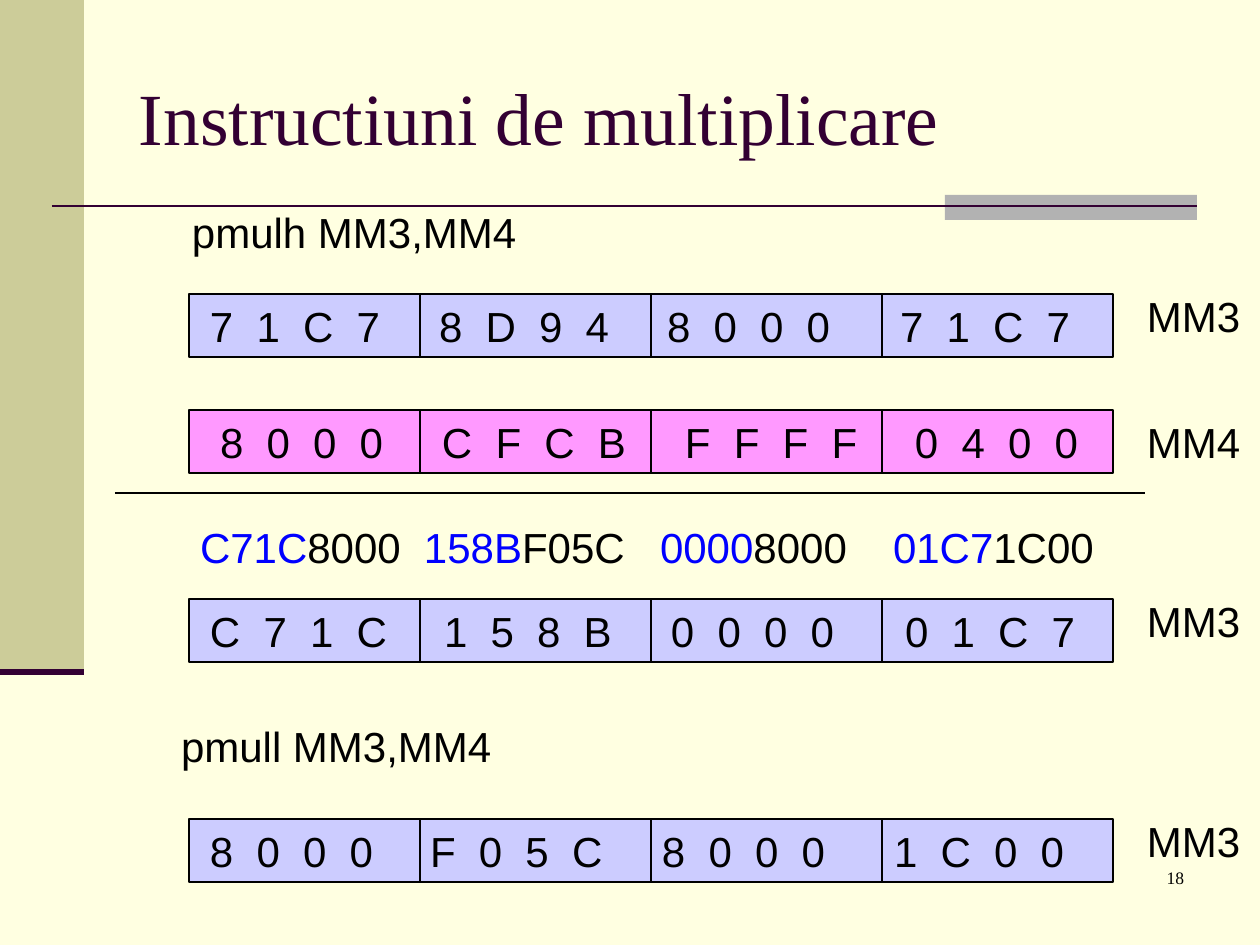
from lxml import etree
from pptx import Presentation, util as u
from pptx.dml.color import RGBColor
from pptx.enum import shapes, text
from pptx.oxml import ns

SCALE = 914400 / 126
BLACK, BLUE, PLUM = "000000", "0000FF", "330033"
LILAC, PINK = "CCCCFF", "FF99FF"
LEFT, CELL_W, ROW_H = 189, 231, 63
LABEL_X = 1134
DIGIT_SPACING = 3.33  # points, widens the gaps between hex digits

# top, label top, label, fill, (digits, left inset) of each cell
REGISTERS = [
    (294, 284, "MM3", LILAC,
     [("7 1 C 7", 21), ("8 D 9 4", 19), ("8 0 0 0", 16), ("7 1 C 7", 18)]),
    (410, 410, "MM4", PINK,
     [("8 0 0 0", 31), ("C F C B", 22), ("F F F F", 34), ("0 4 0 0", 33)]),
    (599, 589, "MM3", LILAC,
     [("C 7 1 C", 21), ("1 5 8 B", 24), ("0 0 0 0", 20), ("0 1 C 7", 23)]),
    (819, 809, "MM3", LILAC,
     [("8 0 0 0", 21), ("F 0 5 C", 10), ("8 0 0 0", 11), ("1 C 0 0", 12)]),
]
# left, high word, low word
PRODUCTS = [(187, "C71C", "8000"), (411, "158B", "F05C"),
            (647, "0000", "8000"), (880, "01C7", "1C00")]


def px(length):
    return u.Emu(round(length * SCALE))


def color(value):
    return RGBColor.from_string(value)


def write(frame, spans, size=24, font="Arial", align=text.PP_ALIGN.LEFT,
          anchor=text.MSO_ANCHOR.TOP, inset=13, spacing=0):
    """Fill a text frame with one paragraph of (wording, colour) spans."""
    frame.word_wrap = True
    frame.vertical_anchor = anchor
    frame.margin_left = px(inset)
    frame.margin_right = px(13) if not spacing else 0
    para = frame.paragraphs[0]
    para.alignment = align
    for wording, ink in spans:
        span = para.add_run()
        span.text = wording
        span.font.size = u.Pt(size)
        span.font.name = font
        span.font.color.rgb = color(ink)
        if spacing:
            span._r.get_or_add_rPr().set("spc", str(round(spacing * 100)))


def add_text(page, box, spans, **style):
    write(page.shapes.add_textbox(*map(px, box)).text_frame, spans, **style)


def add_rect(page, box, fill, line=None):
    rect = page.shapes.add_shape(shapes.MSO_SHAPE.RECTANGLE, *map(px, box))
    rect.shadow.inherit = False
    rect.fill.solid()
    rect.fill.fore_color.rgb = color(fill)
    if line:
        rect.line.color.rgb = color(line)
        rect.line.width = u.Pt(0.75)
    else:
        rect.line.fill.background()
    return rect


def add_rule(page, left, right, y, ink, width):
    """Draw a horizontal line."""
    rule = page.shapes.add_connector(
        shapes.MSO_CONNECTOR.STRAIGHT, *map(px, (left, y, right, y)))
    rule.line.color.rgb = color(ink)
    rule.line.width = u.Pt(width)
    etree.SubElement(rule._element.spPr, ns.qn("a:effectLst"))


def add_frame(page, width):
    """Draw the side band and the rule under the title."""
    add_rect(page, (0, 0, 84, 672), "CCCC99")
    add_rect(page, (width - 315, 195, 252, 25), "B2B2B2")
    add_rule(page, 52, width - 63, 206, PLUM, 1.5)
    add_rule(page, 0, 84, 672, PLUM, 3.5)


def add_register(page, left, top, fill, cells):
    """Draw a register as a row of equal cells."""
    for column, (digits, inset) in enumerate(cells):
        cell = add_rect(page, (left + column * CELL_W, top, CELL_W, ROW_H),
                        fill, BLACK)
        write(cell.text_frame, [(digits, BLACK)], inset=inset,
              anchor=text.MSO_ANCHOR.MIDDLE, spacing=DIGIT_SPACING)


def add_products(page, top):
    """Write the full products, with the high words in blue."""
    for left, high, low in PRODUCTS:
        add_text(page, (left, top, CELL_W, ROW_H), [(high, BLUE), (low, BLACK)])


def main():
    deck = Presentation()
    deck.slide_width, deck.slide_height = px(1260), px(945)
    page = deck.slides.add_slide(deck.slide_layouts[6])
    page.background.fill.solid()
    page.background.fill.fore_color.rgb = color("FFFFE1")

    add_frame(page, 1260)
    add_text(page, (126, 38, 1071, 157), [("Instructiuni de multiplicare", PLUM)],
             size=42, font="Times New Roman", anchor=text.MSO_ANCHOR.MIDDLE)
    add_text(page, (179, 200, 598, ROW_H), [("pmulh MM3,MM4", BLACK)])
    add_text(page, (168, 714, 598, ROW_H), [("pmull MM3,MM4", BLACK)])
    for top, label_top, label, fill, cells in REGISTERS:
        add_register(page, LEFT, top, fill, cells)
        add_text(page, (LABEL_X, label_top, 126, ROW_H), [(label, BLACK)])
    add_rule(page, 115, 1145, 493, BLACK, 0.75)
    add_products(page, 515)
    add_text(page, (934, 861, 263, ROW_H), [("18", BLACK)], size=10,
             font="Times New Roman", align=text.PP_ALIGN.RIGHT)
    deck.save("out.pptx")


if __name__ == "__main__":
    main()
